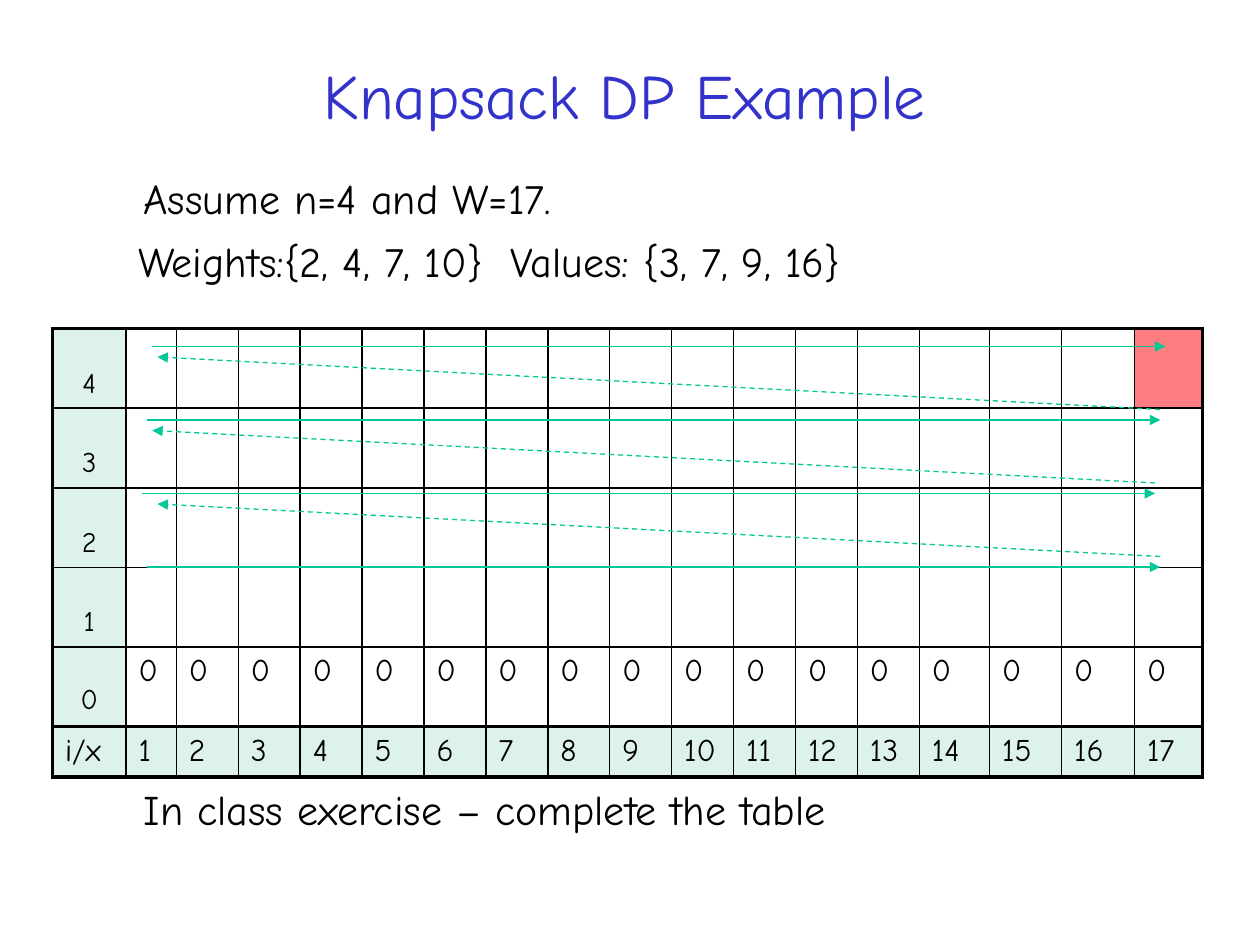
from dataclasses import dataclass
from itertools import product
from lxml import etree
from pptx import Presentation
from pptx import util as u
from pptx.dml import color
from pptx.enum import dml, shapes, text
from pptx.oxml import ns

FONT = "Comic Neue"
BLACK, BLUE, TEAL = "000000", "3333CC", "00C896"
MINT, ROSE = "DDF3EA", "FF7C80"
GRID = 240
COLS = [14, 9.6] + [11.8] * 12 + [13.4, 13.7, 13.9, 13]
ROWS = [13] * 4 + [6.7] * 2
ZERO, HEAD, LAST = 4, 5, 17
LEFT, MID = text.PP_ALIGN.LEFT, text.PP_ALIGN.CENTER

deck = Presentation()
deck.slide_width, deck.slide_height = u.Inches(10), u.Inches(7.5)
slide = deck.slides.add_slide(deck.slide_layouts[6])


@dataclass
class Label:
    words: str
    box: tuple
    size: int = 24
    hue: str = BLACK
    gap: int = 0
    title: bool = False


@dataclass
class Arrow:
    start: tuple
    end: tuple
    dash: bool = False


def span(n: float) -> int:
    return round(deck.slide_width * n / GRID)


def rgb(code: str) -> color.RGBColor:
    return color.RGBColor.from_string(code)


def sub(node, tag: str, **attrs):
    return etree.SubElement(node, ns.qn(tag), **attrs)


def write(para, words: str, size: int, hue: str, gap: int, align) -> None:
    para.text = words
    para.alignment = align
    if gap:
        space = sub(para._p.get_or_add_pPr(), "a:spcBef")
        sub(space, "a:spcPct", val=str(gap * 1000))
    para.font.name = FONT
    para.font.size = u.Pt(size)
    para.font.color.rgb = rgb(hue)


def add_label(item: Label) -> None:
    frame = slide.shapes.add_textbox(*map(span, item.box)).text_frame
    frame.word_wrap = True
    if item.title:
        frame.vertical_anchor = text.MSO_ANCHOR.MIDDLE
    else:
        frame.auto_size = text.MSO_AUTO_SIZE.SHAPE_TO_FIT_TEXT
    write(frame.paragraphs[0], item.words, item.size, item.hue, item.gap,
          MID if item.title else LEFT)


def add_arrow(item: Arrow) -> None:
    line = slide.shapes.add_connector(
        shapes.MSO_CONNECTOR.STRAIGHT, *map(span, item.start + item.end))
    line.line.color.rgb = rgb(TEAL)
    line.line.width = u.Pt(0.75)
    if item.dash:
        line.line.dash_style = dml.MSO_LINE.DASH
    sub(line.line._get_or_add_ln(), "a:tailEnd", type="triangle")
    sub(line._element.spPr, "a:effectLst")


def edge(cell, side: str, thick: bool) -> None:
    width = u.Pt(2.25 if thick else 1)
    line = sub(cell._tc.get_or_add_tcPr(), "a:ln" + side, w=str(width))
    sub(sub(line, "a:solidFill"), "a:srgbClr", val=BLACK)


def words_at(row: int, col: int) -> str:
    if row == HEAD:
        return str(col) if col else "i/x"
    if col == 0:
        return str(ZERO - row)
    return "0" if row == ZERO else ""


def fill_cell(cell, row: int, col: int) -> None:
    edge(cell, "L", col == 0)
    edge(cell, "R", col == LAST)
    edge(cell, "T", row in (0, HEAD))
    edge(cell, "B", row in (ZERO, HEAD))
    if col == 0 or row == HEAD:
        hue = MINT
    else:
        hue = ROSE if (row, col) == (0, LAST) else None
    if hue:
        cell.fill.solid()
        cell.fill.fore_color.rgb = rgb(hue)
    else:
        cell.fill.background()
    if col == 0 and row != ZERO:
        cell.vertical_anchor = text.MSO_ANCHOR.MIDDLE
    words = words_at(row, col)
    if words:
        low = col == 0 and row != HEAD
        para = cell.text_frame.paragraphs[0]
        write(para, words, 28 if low else 18, BLACK, 20, MID if low else LEFT)
        if low:
            para.font._rPr.set("baseline", "-25000")


def add_grid() -> None:
    table = slide.shapes.add_table(
        len(ROWS), len(COLS), span(10), span(62.6),
        span(sum(COLS)), span(sum(ROWS))).table
    table.first_row = table.horz_banding = False
    for col, width in zip(table.columns, COLS):
        col.width = span(width)
    for row, height in zip(table.rows, ROWS):
        row.height = span(height)
    for row, col in product(range(len(ROWS)), range(len(COLS))):
        fill_cell(table.cell(row, col), row, col)


def main() -> None:
    add_label(Label("Knapsack DP Example", (17, 3, 204, 30), 36, BLUE,
                    title=True))
    add_grid()
    for item in (
        Label("Weights:{2, 4, 7, 10}  Values: {3, 7, 9, 16}",
              (24, 43.7, 204, 12), gap=50),
        Label("Assume n=4 and W=17.", (25, 31.7, 194, 12), gap=50),
        Label("In class exercise – complete the table", (25, 148, 204, 12)),
    ):
        add_label(item)
    for k, x in enumerate((28, 27, 28, 29)):
        y = 108 - 14 * k
        add_arrow(Arrow((x, y), (x + 193, y)))
        if k < 3:
            back = 29 if k == 1 else 30
            add_arrow(Arrow((back + 191, y - 2), (back, y - 12), True))
    deck.save("out.pptx")


if __name__ == "__main__":
    main()
